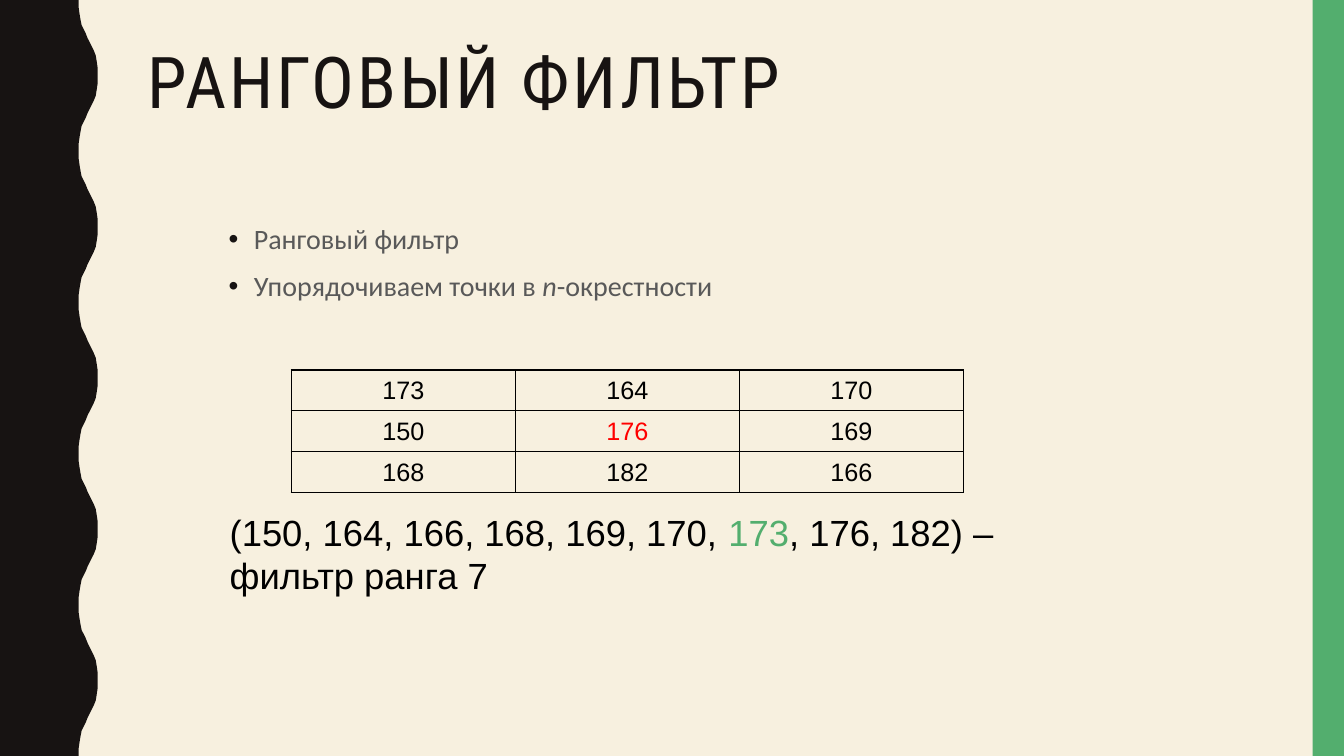
from pptx import Presentation
from pptx.dml.color import RGBColor
from pptx.enum.shapes import MSO_SHAPE
from pptx.enum.text import MSO_ANCHOR, PP_ALIGN
from pptx.oxml import parse_xml
from pptx.oxml.ns import nsdecls
from pptx.util import Inches, Pt

HUES = {"sand": "F7F0DF", "ink": "171312", "green": "53AE6E",
        "gray": "595959", "black": "000000", "red": "FF0000"}
RGB = {name: RGBColor.from_string(code) for name, code in HUES.items()}

deck = Presentation()
deck.slide_width, deck.slide_height = Inches(13.333), Inches(7.5)
COL, ROW = deck.slide_width / 40, deck.slide_height / 30
slide = deck.slides.add_slide(deck.slide_layouts[6])
slide.background.fill.solid()
slide.background.fill.fore_color.rgb = RGB["sand"]


def grid(left, top, wide, high):
    return [round(n) for n in (left * COL, top * ROW, wide * COL, high * ROW)]


def style(para, face, size, hue):
    font = para.font
    font.name, font.size, font.color.rgb = face, Pt(size), RGB[hue]


# Wavy left edge: half a wave, mirrored and repeated, in 1/750 of the height
half = [(78, 0), (78, 7), (79, 14), (80, 20), (81, 25), (83, 29), (85, 33),
        (87, 38), (89, 42), (91, 46), (93, 50), (95, 55), (96, 61), (97, 68),
        (97, 75)]
wave = half + [(x, 150 - y) for x, y in half[-2:0:-1]]
edge = [(x, y + 150 * turn) for turn in range(5) for x, y in wave]
pen = slide.shapes.build_freeform(0, 0, scale=deck.slide_height / 750)
pen.add_line_segments(edge + [(78, 750), (0, 750)], close=True)

# Right bar
bar = slide.shapes.add_shape(MSO_SHAPE.RECTANGLE, *grid(39.07, 0, 0.93, 30))
for part, hue in ((pen.convert_to_shape(), "ink"), (bar, "green")):
    part.fill.solid()
    part.fill.fore_color.rgb = RGB[hue]
    part.line.fill.background()
    part.shadow.inherit = False

# Text boxes
frames = []
for spot in ((4.11, 1.68, 33.4, 6.52), (6.51, 8.48, 27, 4.96),
             (6.54, 20.04, 27, 4.96)):
    frame = slide.shapes.add_textbox(*grid(*spot)).text_frame
    frame.word_wrap = True
    frames.append(frame)
title, body, note = frames

# Title
para = title.paragraphs[0]
run = para.add_run()
run.text = "РАНГОВЫЙ ФИЛЬТР"
run.font._element.set("spc", "200")
para.line_spacing = 0.9
style(para, "Roboto Condensed", 51, "ink")

# Bullets
lines = [["Ранговый фильтр"], ["Упорядочиваем точки в ", "n", "-окрестности"]]
for i, words in enumerate(lines):
    para = body.add_paragraph() if i else body.paragraphs[0]
    for word in words:
        run = para.add_run()
        run.text = word
        run.font.italic = word == "n"
    para.line_spacing, para.space_before = 1.1, Pt(7)
    props = para._p.get_or_add_pPr()
    props.set("marL", str(Inches(0.25)))
    props.set("indent", str(-Inches(0.25)))
    for xml in (f'<a:buClr {nsdecls("a")}><a:srgbClr val="{HUES["ink"]}"/></a:buClr>',
                f'<a:buFont {nsdecls("a")} typeface="Arial"/>',
                f'<a:buChar {nsdecls("a")} char="•"/>'):
        props.append(parse_xml(xml))
    style(para, "Calibri", 20, "gray")

# Table of neighbouring points
vals = [[173, 164, 170], [150, 176, 169], [168, 182, 166]]
table = slide.shapes.add_table(3, 3, *grid(8.67, 14.68, 20, 4.88)).table
table.first_row = table.horz_banding = False
for r, row in enumerate(vals):
    for c, val in enumerate(row):
        cell = table.cell(r, c)
        cell.text = str(val)
        cell.vertical_anchor = MSO_ANCHOR.MIDDLE
        para = cell.text_frame.paragraphs[0]
        para.alignment = PP_ALIGN.CENTER
        style(para, "Arial", 18, "red" if r == c == 1 else "black")
        props = cell._tc.get_or_add_tcPr()
        for side in "LRTB":
            props.append(parse_xml(
                f'<a:ln{side} {nsdecls("a")} w="{Pt(1)}"><a:solidFill>'
                f'<a:srgbClr val="{HUES["black"]}"/></a:solidFill></a:ln{side}>'))
        cell.fill.background()

# Sorted row with the chosen rank
para = note.paragraphs[0]
para.space_before = Pt(3)
style(para, "Arial", 26, "black")
for word, hue in (("(150, 164, 166, 168, 169, 170, ", "black"),
                  ("173", "green"),
                  (", 176, 182) – фильтр ранга 7", "black")):
    run = para.add_run()
    run.text = word
    run.font.color.rgb = RGB[hue]

deck.save("out.pptx")
